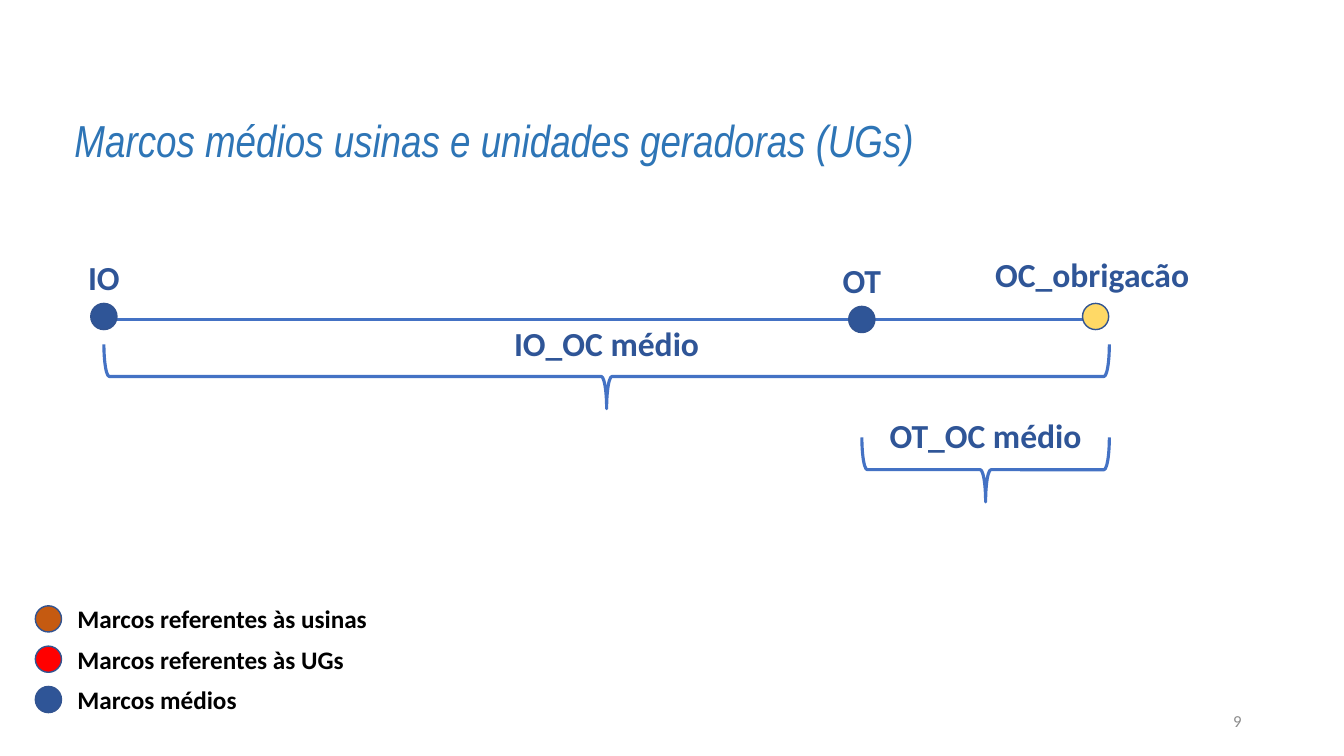
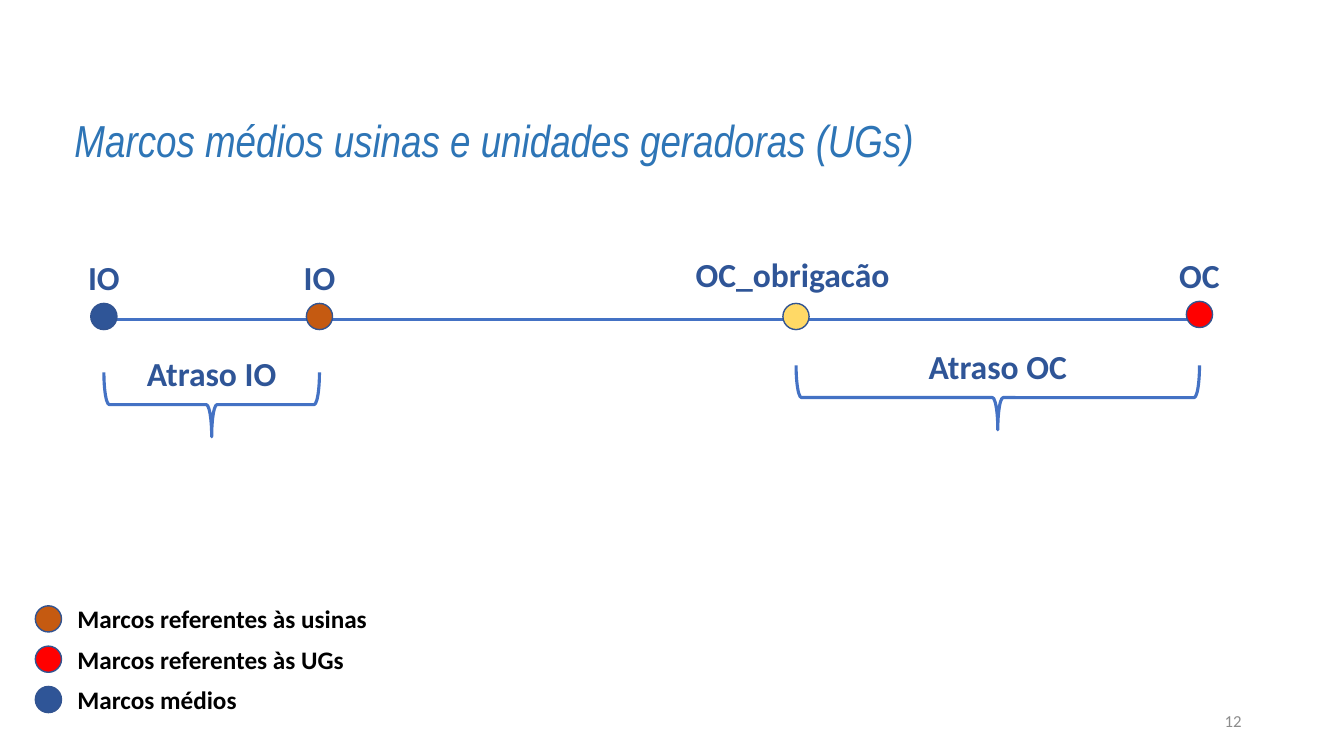
"""Build two timeline slides about average milestones of plants and generating units."""
import lxml.etree
import pptx
import pptx.dml.color
import pptx.enum.shapes
import pptx.enum.text
import pptx.oxml.ns
import pptx.util

Pt = pptx.util.Pt
Align = pptx.enum.text.PP_ALIGN
Anchor = pptx.enum.text.MSO_ANCHOR
Preset = pptx.enum.shapes.MSO_SHAPE

NAVY, ORANGE, RED, YELLOW = "2F5597", "C55A11", "FF0000", "FFD966"
LEGEND = [
    ("Marcos referentes às usinas", ORANGE),
    ("Marcos referentes às UGs", RED),
    ("Marcos médios", NAVY),
]


def color(hex_value):
    return pptx.dml.color.RGBColor.from_string(hex_value)


def write(shape, text, size=24, font="Calibri", ink=NAVY, bold=False,
          italic=False, align=Align.CENTER, anchor=Anchor.TOP):
    frame = shape.text_frame
    frame.word_wrap = True
    frame.auto_size = pptx.enum.text.MSO_AUTO_SIZE.NONE
    frame.vertical_anchor = anchor
    paragraph = frame.paragraphs[0]
    paragraph.alignment = align
    run = paragraph.add_run()
    run.text = text
    run.font.size = Pt(size)
    run.font.name = font
    run.font.bold = bold
    run.font.italic = italic
    run.font.color.rgb = color(ink)


class Timeline:
    TITLE_COLOR, LINE_COLOR, EDGE_COLOR = "2E75B6", "4472C4", "325491"
    AXIS_Y, DOT, BRACE_DEPTH, LABEL_HEIGHT = 228.2, 18.7, 46, 36

    def __init__(self, presentation):
        self.presentation = presentation
        self.slide = None

    def start(self, title, number):
        layout = self.presentation.slide_layouts[5]
        self.slide = self.presentation.slides.add_slide(layout)
        heading = self.slide.shapes.title
        heading.left, heading.top = Pt(46), Pt(77)
        heading.width, heading.height = Pt(867), Pt(46)
        write(heading, title, size=32, font="Arial Narrow", ink=self.TITLE_COLOR,
              italic=True, align=Align.LEFT)
        self.text(number, 678, 500.4, 216, 28.8, size=12, ink="8C8C8C",
                  align=Align.RIGHT, anchor=Anchor.MIDDLE)

    def text(self, text, left, top, width, height, **style):
        box = self.slide.shapes.add_textbox(Pt(left), Pt(top), Pt(width), Pt(height))
        write(box, text, **style)

    def label(self, text, x, top, width):
        self.text(text, x - width / 2, top, width, self.LABEL_HEIGHT, bold=True)

    def axis(self, start, end):
        connector = self.slide.shapes.add_connector(
            pptx.enum.shapes.MSO_CONNECTOR.STRAIGHT,
            Pt(start), Pt(self.AXIS_Y), Pt(end), Pt(self.AXIS_Y))
        connector.line.color.rgb = color(self.LINE_COLOR)
        connector.line.width = Pt(2.25)
        lxml.etree.SubElement(connector.element.spPr, pptx.oxml.ns.qn("a:effectLst"))

    def dot(self, x, y, fill):
        shape = self.slide.shapes.add_shape(
            Preset.OVAL, Pt(x - self.DOT / 2), Pt(y - self.DOT / 2),
            Pt(self.DOT), Pt(self.DOT))
        shape.shadow.inherit = False
        shape.fill.solid()
        shape.fill.fore_color.rgb = color(fill)
        shape.line.color.rgb = color(self.EDGE_COLOR)
        shape.line.width = Pt(1)

    def milestone(self, name, x, fill, y=226.1):
        self.dot(x, y, fill)
        self.label(name, x, y - 46, 58)

    def obligation(self, x):
        self.dot(x, 226.1, YELLOW)
        self.label("OC_obrigacão", x - 2.5, 177.8, 303)

    def brace(self, name, start, end, top, rise=17.6):
        length, center = end - start, (start + end) / 2
        middle = top + self.BRACE_DEPTH / 2
        shape = self.slide.shapes.add_shape(
            Preset.RIGHT_BRACE, Pt(center - self.BRACE_DEPTH / 2),
            Pt(middle - length / 2), Pt(self.BRACE_DEPTH), Pt(length))
        shape.rotation = 90
        shape.shadow.inherit = False
        shape.fill.background()
        shape.line.color.rgb = color(self.LINE_COLOR)
        shape.line.width = Pt(2.25)
        self.label(name, center, top - rise, length - 20)

    def legend(self):
        for row, (name, fill) in enumerate(LEGEND):
            y = 442.1 + 28.8 * row
            self.dot(34.6, y, fill)
            self.text(name, 48.2, y - 14.5, 240, 28.8, size=18, ink="000000",
                      bold=True, align=Align.LEFT)


def main():
    presentation = pptx.Presentation()
    presentation.slide_width, presentation.slide_height = Pt(960), Pt(540)
    timeline = Timeline(presentation)
    title = "Marcos médios usinas e unidades geradoras (UGs)"
    first = 74.2

    timeline.start(title, "9")
    timeline.axis(first, 780)
    timeline.obligation(782.6)
    timeline.brace("IO_OC médio", first, 792.4, 245.9, rise=19)
    timeline.milestone("IO", first, NAVY)
    timeline.brace("OT_OC médio", 615.6, 792.4, 312.5, rise=20)
    timeline.milestone("OT", 615.6, NAVY, y=228.2)
    timeline.legend()

    timeline.start(title, "12")
    timeline.axis(first, 865.4)
    timeline.obligation(568.6)
    timeline.milestone("IO", first, NAVY)
    timeline.milestone("IO", 228.2, ORANGE)
    timeline.brace("Atraso IO", first, 228.2, 266)
    timeline.legend()
    timeline.brace("Atraso OC", 568.6, 856.8, 261)
    timeline.milestone("OC", 856.8, RED, y=224.6)

    presentation.save("out.pptx")


main()
